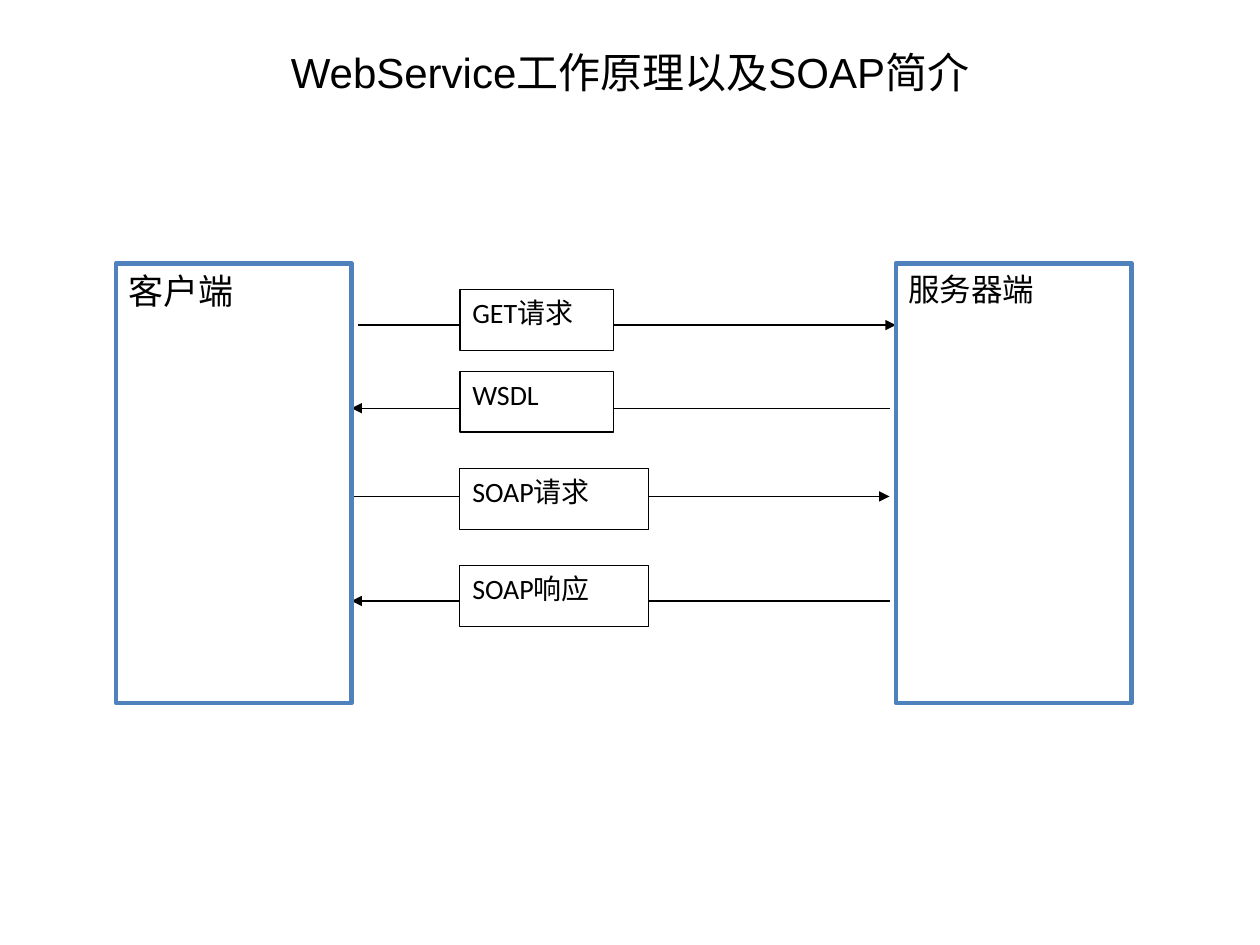
from lxml import etree
from pptx import Presentation
from pptx import util as u
from pptx.dml.color import RGBColor
from pptx.enum import shapes, text
from pptx.oxml.ns import qn

PX = 9144


def color(value):
    return RGBColor.from_string(value)


def write(sp, words, size, font="Calibri", align=text.PP_ALIGN.LEFT, anchor=text.MSO_ANCHOR.TOP):
    tf = sp.text_frame
    tf.word_wrap = True
    tf.vertical_anchor = anchor
    p = tf.paragraphs[0]
    p.alignment = align
    r = p.add_run()
    r.text = words
    r.font.size = u.Pt(size)
    r.font.name = font
    r.font.color.rgb = color("000000")


prs = Presentation()
prs.slide_width, prs.slide_height = 1000 * PX, 750 * PX
s = prs.slides.add_slide(prs.slide_layouts[6])

title = s.shapes.add_textbox(50 * PX, 30 * PX, 900 * PX, 54 * PX)
write(title, "WebService工作原理以及SOAP简介", 24, "Arial",
      text.PP_ALIGN.CENTER, text.MSO_ANCHOR.MIDDLE)

arrows = [(284, 711, 258), (706, 279, 324), (279, 706, 394), (706, 279, 477)]
boxes = [
    (92, 209, 187, 349, "客户端", 20, "4F81BD", 2.5),
    (711, 209, 187, 349, "服务器端", 18, "4F81BD", 2.5),
]
messages = [("GET请求", 230, 122), ("WSDL", 295, 122), ("SOAP请求", 372, 150), ("SOAP响应", 449, 150)]
boxes += [(365, y, w, 48, words, 16, "000000", 0.75) for words, y, w in messages]

for x1, x2, y in arrows:
    line = s.shapes.add_connector(shapes.MSO_CONNECTOR.STRAIGHT, x1 * PX, y * PX, x2 * PX, y * PX)
    line.line.color.rgb = color("000000")
    line.line.width = u.Pt(0.75)
    etree.SubElement(line.line._get_or_add_ln(), qn("a:tailEnd"), type="triangle")
    etree.SubElement(line._element.spPr, qn("a:effectLst"))

for x, y, w, h, words, size, edge, weight in boxes:
    sp = s.shapes.add_shape(shapes.MSO_SHAPE.RECTANGLE, x * PX, y * PX, w * PX, h * PX)
    sp.shadow.inherit = False
    sp.fill.solid()
    sp.fill.fore_color.rgb = color("FFFFFF")
    sp.line.color.rgb = color(edge)
    sp.line.width = u.Pt(weight)
    write(sp, words, size)

prs.save("out.pptx")
